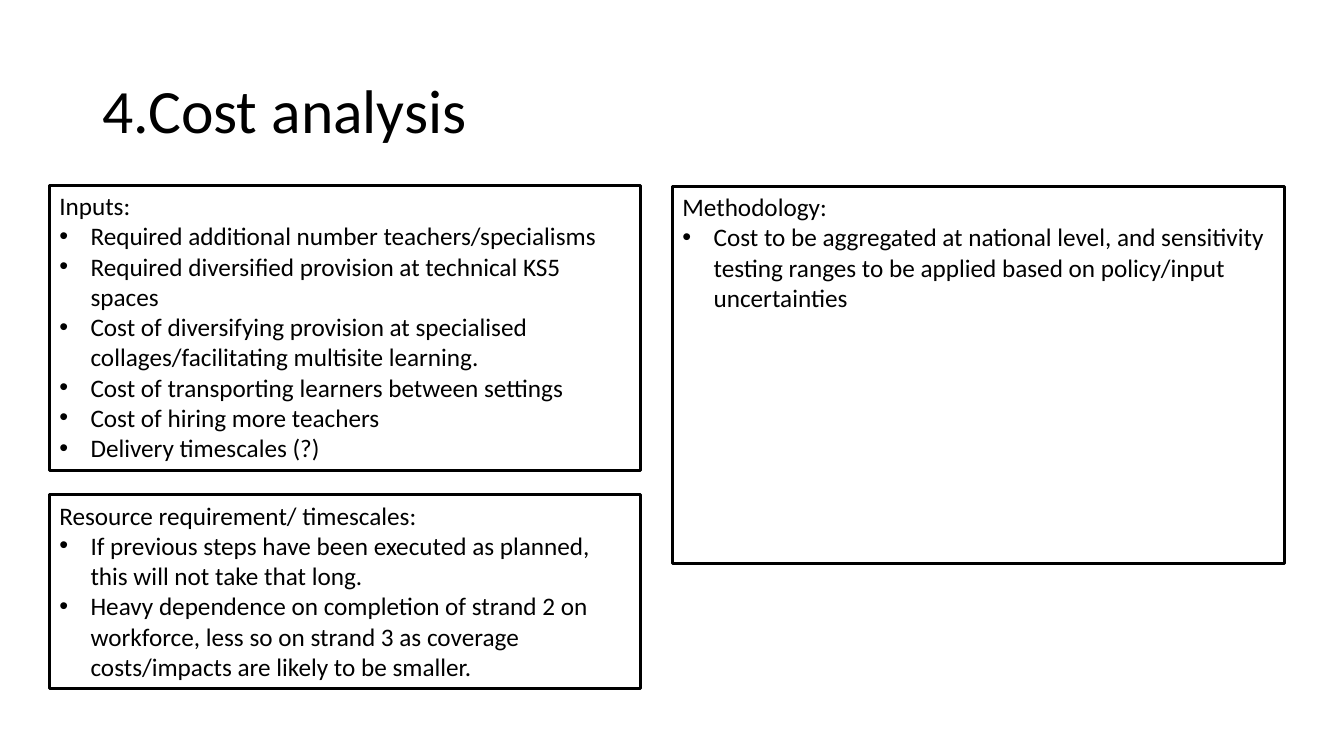
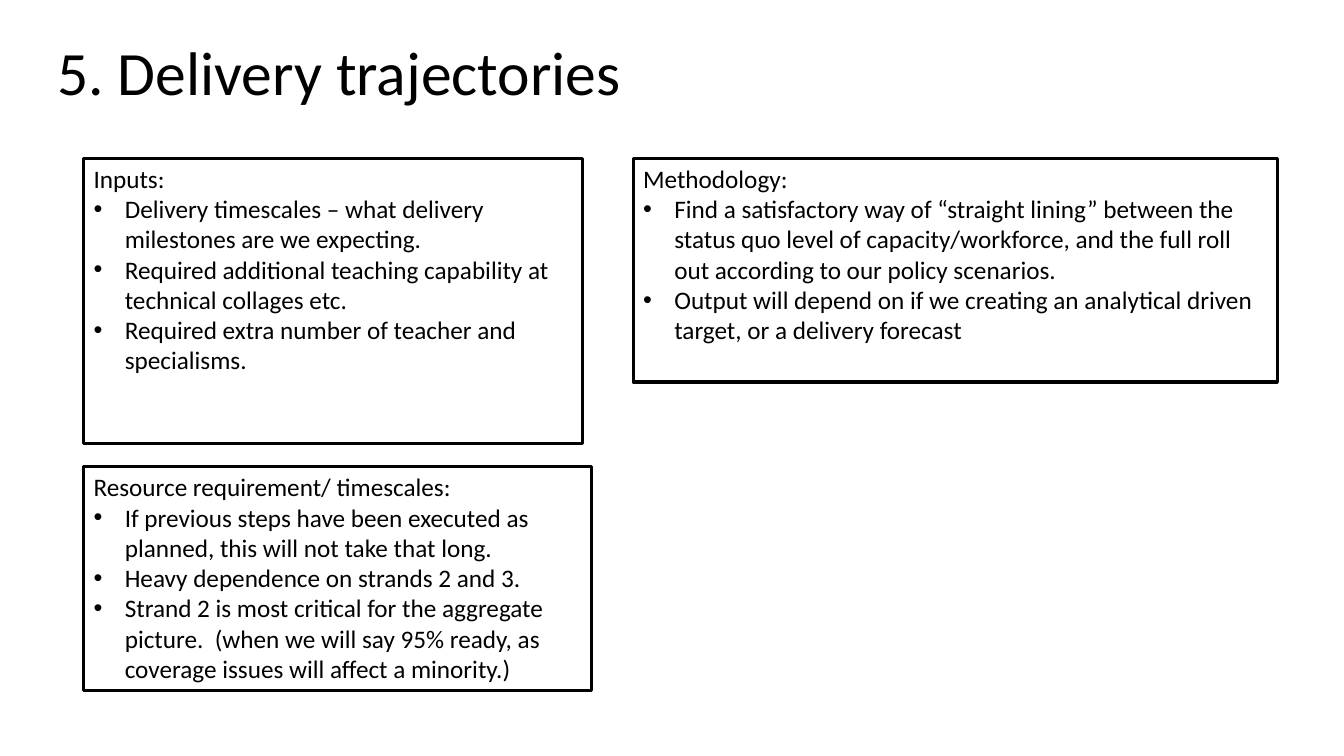
"""Build two planning slides: cost analysis and delivery trajectories."""
from lxml.etree import SubElement
from pptx import Presentation
from pptx.dml.color import RGBColor
from pptx.enum.text import MSO_ANCHOR as Anchor
from pptx.oxml.ns import qn
from pptx.util import Pt

PX = 9144
FONT = "Calibri"
INK = "000000"
PAPER = "FFFFFF"
INDENT = 31


def color(hex_string):
    """Turn a hex string into a colour."""
    return RGBColor.from_string(hex_string)


def add_text(slide, area, lines, size, anchor):
    """Add a wrapped text box with one paragraph per line."""
    box = slide.shapes.add_textbox(*(length * PX for length in area))
    frame = box.text_frame
    frame.word_wrap = True
    frame.vertical_anchor = anchor
    frame.text = "\n".join(lines)
    for paragraph in frame.paragraphs:
        for run in paragraph.runs:
            run.font.name = FONT
            run.font.size = Pt(size)
            run.font.color.rgb = color(INK)
    return box


RESOURCES = "Resource requirement/ timescales:"
QUICK = "If previous steps have been executed as planned, this will not take that long."

SLIDES = [
    ("4.Cost analysis", (92, 40, 1150, 145), [
        ((49, 184, 586, 283), "Inputs:", [
            "Required additional number teachers/specialisms",
            "Required diversified provision at technical KS5 spaces",
            "Cost of diversifying provision at specialised collages/facilitating multisite learning.",
            "Cost of transporting learners between settings",
            "Cost of hiring more teachers",
            "Delivery timescales (?)",
        ]),
        ((49, 491, 586, 192), RESOURCES, [
            QUICK,
            "Heavy dependence on completion of strand 2 on workforce, less so on strand 3 "
            "as coverage costs/impacts are likely to be smaller.",
        ]),
        ((667, 185, 607, 374), "Methodology:", [
            "Cost to be aggregated at national level, and sensitivity testing ranges "
            "to be applied based on policy/input uncertainties",
        ]),
    ]),
    ("5. Delivery trajectories", (47, 22, 619, 106), [
        ((83, 157, 495, 283), "Inputs:", [
            "Delivery timescales – what delivery milestones are we expecting.",
            "Required additional teaching capability at technical collages etc.",
            "Required extra number of teacher and specialisms.",
        ]),
        ((83, 463, 504, 222), RESOURCES, [
            QUICK,
            "Heavy dependence on strands 2 and 3.",
            "Strand 2 is most critical for the aggregate picture.  (when we will say 95% ready, "
            "as coverage issues will affect a minority.)",
        ]),
        ((628, 157, 639, 222), "Methodology:", [
            "Find a satisfactory way of “straight lining” between the status quo level of "
            "capacity/workforce, and the full roll out according to our policy scenarios.",
            "Output will depend on if we creating an analytical driven target, or a delivery forecast",
        ]),
    ]),
]

deck = Presentation()
deck.slide_width = 1333 * PX
deck.slide_height = 750 * PX
blank = deck.slide_layouts[6]

for title, title_area, panels in SLIDES:
    slide = deck.slides.add_slide(blank)
    slide.background.fill.solid()
    slide.background.fill.fore_color.rgb = color(PAPER)

    heading = add_text(slide, title_area, [title], 44, Anchor.MIDDLE)
    heading.text_frame.paragraphs[0].line_spacing = 0.9

    for area, label, points in panels:
        panel = add_text(slide, area, [label, *points], 18, Anchor.TOP)
        panel.line.color.rgb = color(INK)
        panel.line.width = Pt(2.25)
        for point in panel.text_frame.paragraphs[1:]:
            properties = point._p.get_or_add_pPr()
            properties.set("marL", str(INDENT * PX))
            properties.set("indent", str(-INDENT * PX))
            SubElement(properties, qn("a:buFont")).set("typeface", "Arial")
            SubElement(properties, qn("a:buChar")).set("char", "•")

deck.save("out.pptx")
